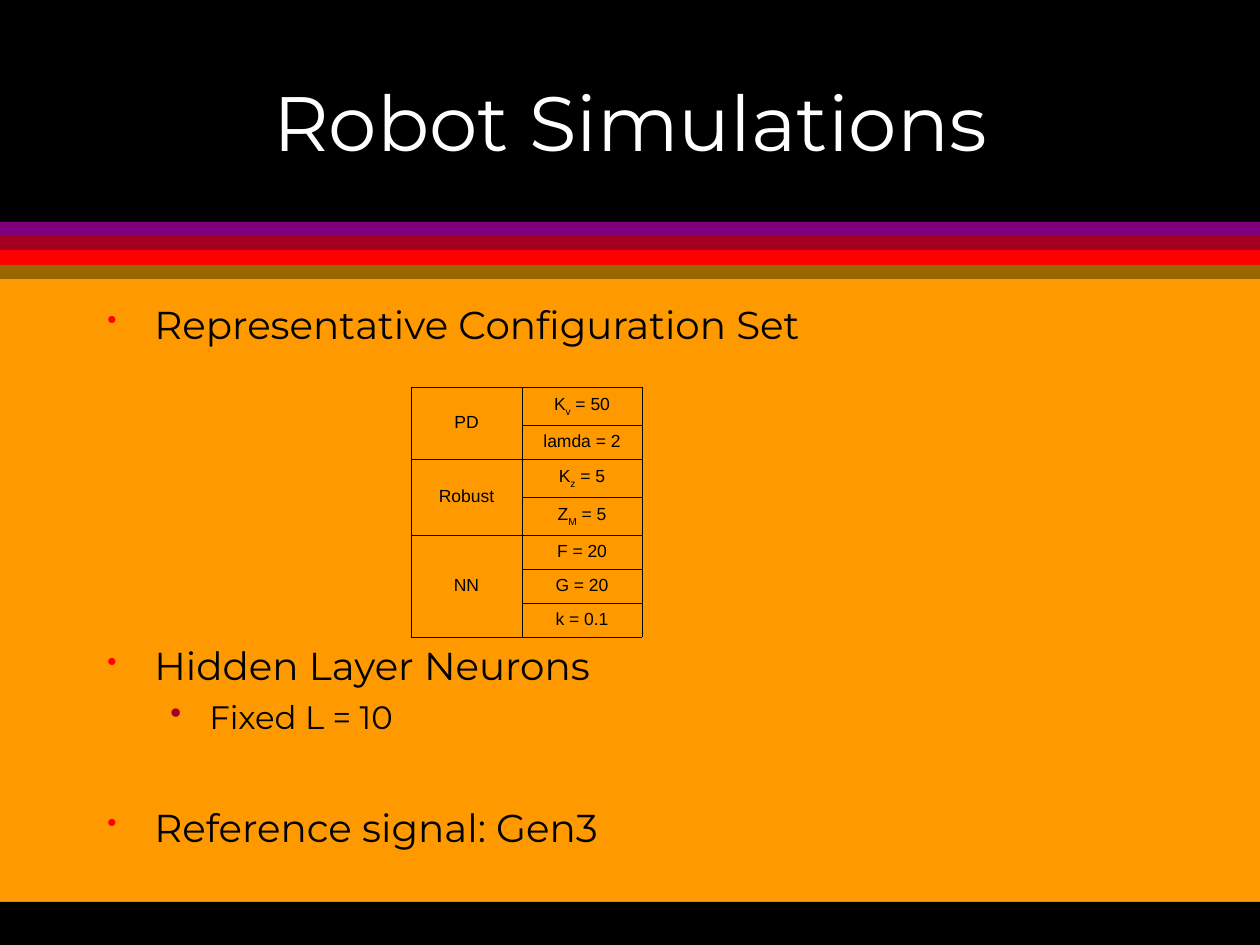
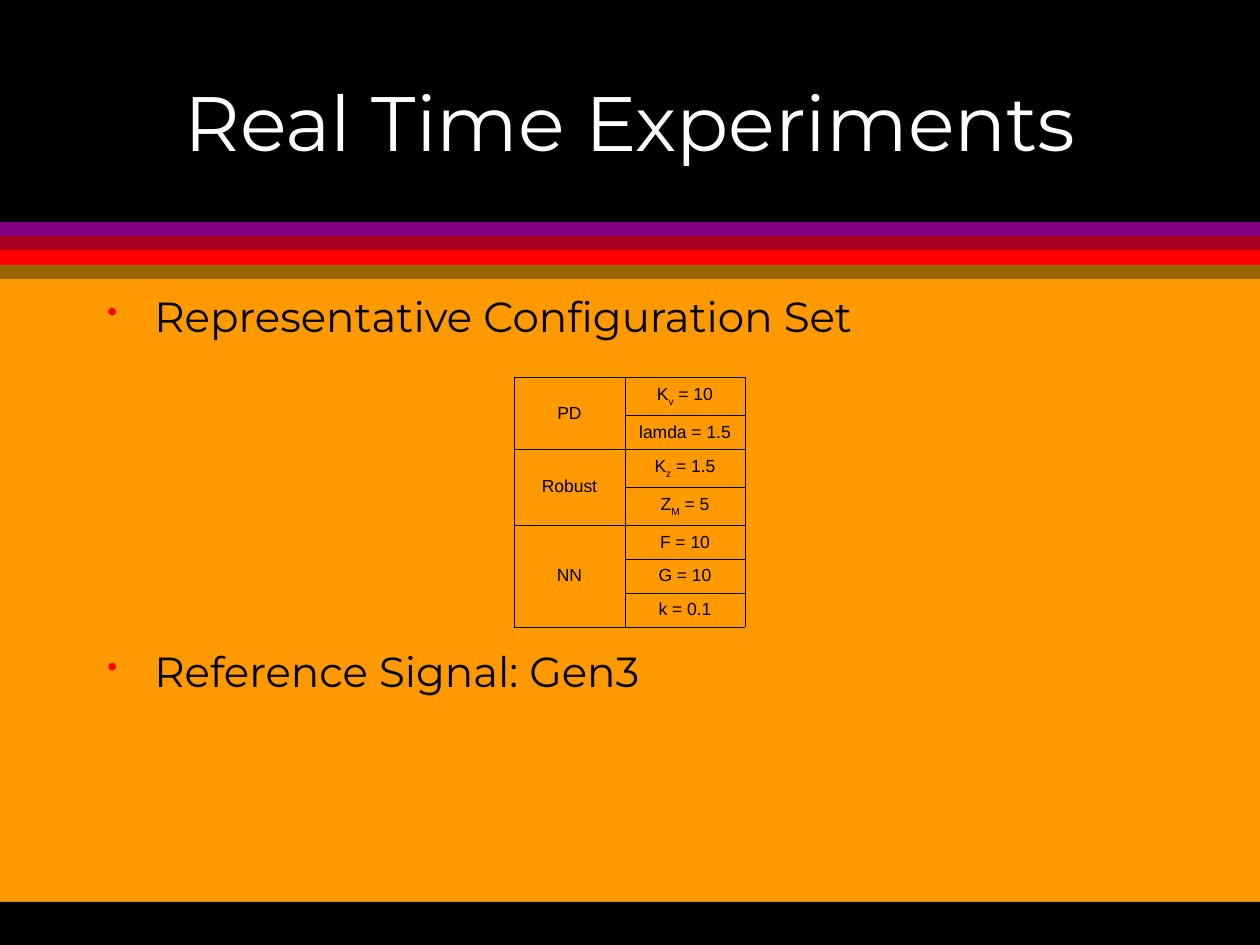
from itertools import pairwise

from lxml import etree
from pptx import Presentation
from pptx.dml.color import RGBColor
from pptx.enum import shapes, text
from pptx.oxml import ns
from pptx.util import Emu, Pt

PX = 914400 // 126
WIDTH, HEIGHT = 1260, 945
COLORS = {
    "ink": "000000",
    "title": "FFFFFF",
    "field": "FF9900",
    "purple": "800080",
    "crimson": "A50021",
    "red": "FF0000",
    "brown": "996600",
}
STRIPES = ["purple", "crimson", "red", "brown"]
STRIPE_EDGES = [222, 236, 250, 265, 279]
BULLETS = [
    {"left": 47, "hang": 47, "color": "red", "percent": 70},
    {"left": 102, "hang": 39, "color": "crimson", "percent": 100},
]


def px(length):
    return Emu(length * PX)


def rgb(name):
    return RGBColor.from_string(COLORS[name])


def add_xml(parent, tag, **attributes):
    return etree.SubElement(parent, ns.qn(tag), attributes)


class Deck:
    heading_font = "Montserrat"
    table_font = "Arial"

    def __init__(self):
        self.prs = Presentation()
        self.prs.slide_width, self.prs.slide_height = px(WIDTH), px(HEIGHT)
        self.slide = None

    def new_slide(self, heading):
        self.slide = self.prs.slides.add_slide(self.prs.slide_layouts[6])
        self.band(189, HEIGHT, "field")
        self.band(902, HEIGHT, "ink")
        self.band(0, STRIPE_EDGES[0], "ink")
        for (top, bottom), color in zip(pairwise(STRIPE_EDGES), STRIPES):
            self.band(top, bottom, color)
        self.title(heading)

    def band(self, top, bottom, color):
        stripe = self.slide.shapes.add_shape(
            shapes.MSO_SHAPE.RECTANGLE, 0, px(top), px(WIDTH), px(bottom - top))
        stripe.shadow.inherit = False
        stripe.fill.solid()
        stripe.fill.fore_color.rgb = rgb(color)
        stripe.line.fill.background()

    def frame(self, left, top, width, height):
        frame = self.slide.shapes.add_textbox(
            px(left), px(top), px(width), px(height)).text_frame
        frame.word_wrap = True
        return frame

    def run(self, paragraph, words, size, font, color="ink"):
        run = paragraph.add_run()
        run.text = words
        run.font.size = Pt(size)
        run.font.name = font
        run.font.color.rgb = rgb(color)
        return run

    def title(self, words):
        frame = self.frame(95, 42, 1071, 158)
        frame.vertical_anchor = text.MSO_ANCHOR.MIDDLE
        heading = frame.paragraphs[0]
        heading.alignment = text.PP_ALIGN.CENTER
        self.run(heading, words, 44, self.heading_font, "title")

    def body(self, height, points, line_spacing=None):
        frame = self.frame(95, 294, 1071, height)
        for index, (words, size, level, before) in enumerate(points):
            point = frame.add_paragraph() if index else frame.paragraphs[0]
            point.level = level
            point.space_before = Pt(before)
            point.line_spacing = line_spacing
            self.bullet(point, **BULLETS[level])
            self.run(point, words, size, self.heading_font)

    def bullet(self, paragraph, left, hang, color, percent):
        properties = paragraph._p.get_or_add_pPr()
        properties.set("marL", str(px(left)))
        properties.set("indent", str(px(-hang)))
        add_xml(add_xml(properties, "a:buClr"), "a:srgbClr", val=COLORS[color])
        add_xml(properties, "a:buSzPct", val=str(percent * 1000))
        add_xml(properties, "a:buChar", char="•")

    def gains_table(self, left, top, groups):
        settings = [gain for gains in groups.values() for gain in gains]
        heights = [38 if "_" in gain else 34 for gain in settings]
        widths = [111, 120]
        table = self.slide.shapes.add_table(
            len(settings), 2, px(left), px(top), px(sum(widths)), px(sum(heights))).table
        table.first_row = table.horz_banding = False
        for column, width in zip(table.columns, widths):
            column.width = px(width)
        for row, height in zip(table.rows, heights):
            row.height = px(height)
        for cell in table.iter_cells():
            self.outline(cell)
        for row, gain in enumerate(settings):
            self.cell_text(table.cell(row, 1), gain)
        first = 0
        for controller, gains in groups.items():
            last = first + len(gains) - 1
            table.cell(first, 0).merge(table.cell(last, 0))
            self.cell_text(table.cell(first, 0), controller)
            first = last + 1

    def outline(self, cell):
        properties = cell._tc.get_or_add_tcPr()
        for side in "LRTB":
            edge = add_xml(properties, f"a:ln{side}", w=str(Pt(0.45)))
            add_xml(add_xml(edge, "a:solidFill"), "a:srgbClr", val=COLORS["ink"])
        cell.fill.background()

    def cell_text(self, cell, words):
        cell.vertical_anchor = text.MSO_ANCHOR.MIDDLE
        label = cell.text_frame.paragraphs[0]
        label.alignment = text.PP_ALIGN.CENTER
        for index, part in enumerate(words.split("_")):
            run = self.run(label, part, 10, self.table_font)
            if index % 2:
                run._r.get_or_add_rPr().set("baseline", "-30000")


def main():
    deck = Deck()

    deck.new_slide("Robot Simulations")
    deck.body(567, [
        ("Representative Configuration Set", 22.2, 0, 6),
        ("Hidden Layer Neurons", 22.2, 0, 168.5),
        ("Fixed L = 10", 18.5, 1, 5),
        ("Reference signal: Gen3", 22.2, 0, 38.5),
    ])
    deck.gains_table(411, 387, {
        "PD": ["K_v_ = 50", "lamda = 2"],
        "Robust": ["K_z_ = 5", "Z_M_ = 5"],
        "NN": ["F = 20", "G = 20", "k = 0.1"],
    })

    deck.new_slide("Real Time Experiments")
    deck.body(446, [
        ("Representative Configuration Set", 24, 0, 6),
        ("Reference Signal: Gen3", 24, 0, 180),
    ], line_spacing=0.8)
    deck.gains_table(514, 377, {
        "PD": ["K_v_ = 10", "lamda = 1.5"],
        "Robust": ["K_z_ = 1.5", "Z_M_ = 5"],
        "NN": ["F = 10", "G = 10", "k = 0.1"],
    })

    deck.prs.save("out.pptx")


if __name__ == "__main__":
    main()
